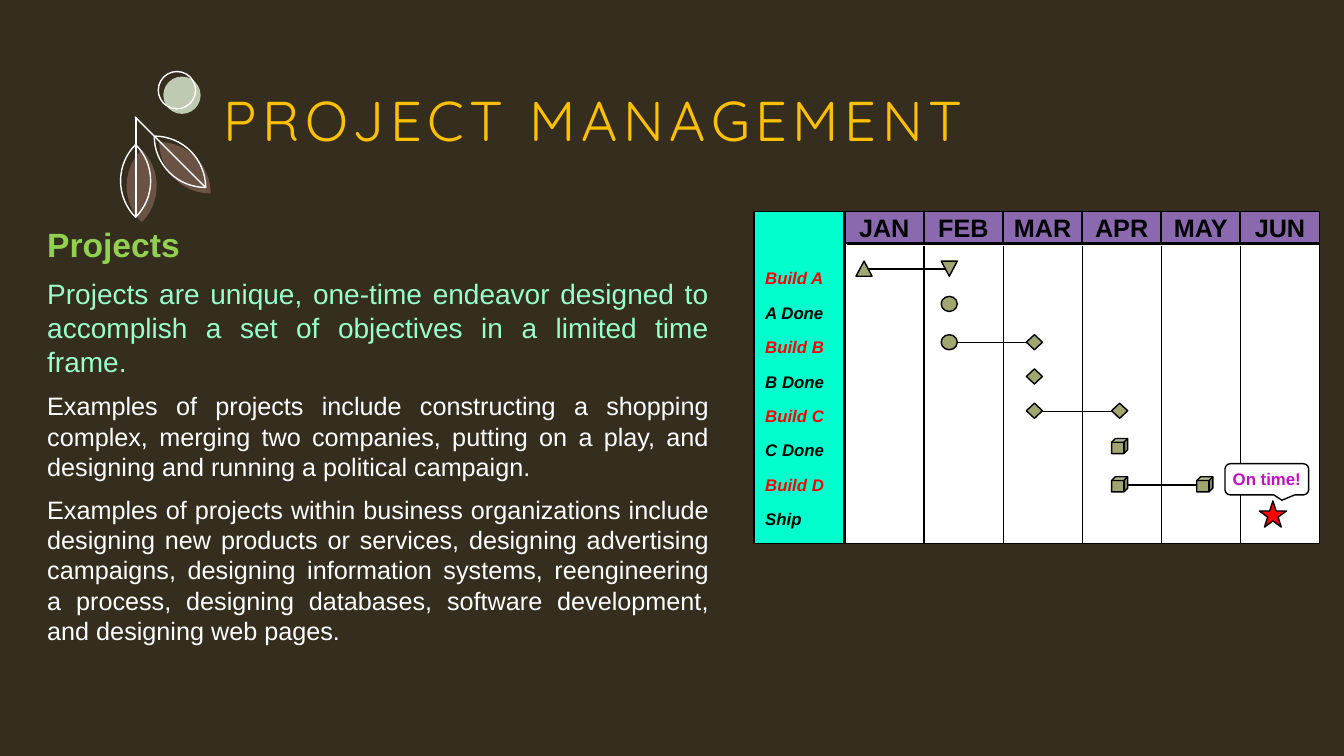
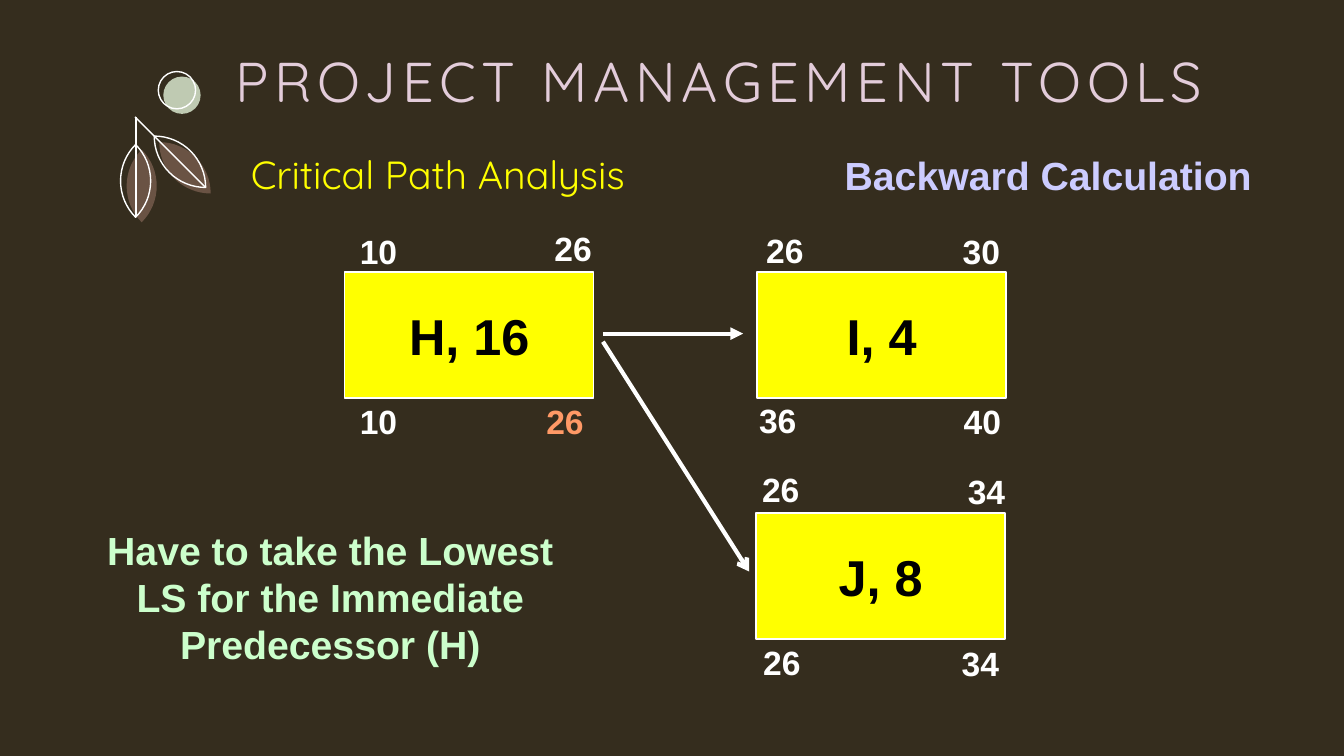
from dataclasses import dataclass
from math import cos, pi, sin

from lxml.etree import SubElement
from pptx import Presentation
from pptx.dml.color import RGBColor
from pptx.enum.shapes import MSO_CONNECTOR, MSO_SHAPE
from pptx.enum.text import MSO_ANCHOR, PP_ALIGN
from pptx.oxml.ns import qn
from pptx.util import Inches, Pt


@dataclass(frozen=True)
class Theme:
    body: str = "Arial"
    display: str = "Quicksand"
    background: str = "352D1E"
    white: str = "FFFFFF"
    black: str = "000000"
    red: str = "FF0000"
    yellow: str = "FFFF00"
    amber: str = "FFC000"
    pink: str = "E3CCDA"
    green: str = "92D050"
    mint: str = "99FFCC"
    pale_green: str = "CCFFCC"
    lavender: str = "CCCCFF"
    orange: str = "FF9966"
    magenta: str = "C40CC8"
    turquoise: str = "00FFCC"
    purple: str = "8A69AE"
    olive: str = "A1A570"
    leaf: str = "BA8C7F"
    berry: str = "BFCAB2"
    title_size: int = 40
    node_size: int = 36
    callout_size: int = 28
    heading_size: int = 24
    lead_size: int = 20
    text_size: int = 18
    label_size: int = 12


THEME = Theme()

PROJECTS = [
    ("Projects", THEME.heading_size, THEME.green, True),
    ("Projects are unique, one-time endeavor designed to accomplish a set of "
     "objectives in a limited time frame.", THEME.lead_size, THEME.mint, False),
    ("Examples of projects include constructing a shopping complex, merging two "
     "companies, putting on a play, and designing and running a political campaign.",
     THEME.text_size, THEME.white, False),
    ("Examples of projects within business organizations include designing new "
     "products or services, designing advertising campaigns, designing information "
     "systems, reengineering a process, designing databases, software development, "
     "and designing web pages.", THEME.text_size, THEME.white, False),
]
MONTHS = ["JAN", "FEB", "MAR", "APR", "MAY", "JUN"]
TASKS = ["Build A", "A Done", "Build B", "B Done", "Build C", "C Done", "Build D", "Ship"]
UP, DOWN = (MSO_SHAPE.ISOSCELES_TRIANGLE, 0), (MSO_SHAPE.ISOSCELES_TRIANGLE, 180)
DOT, DIAMOND, CUBE = (MSO_SHAPE.OVAL, 0), (MSO_SHAPE.DIAMOND, 0), (MSO_SHAPE.CUBE, 0)
MILESTONES = [
    (2.59, 0, [UP, DOWN]),
    (2.94, 1, [DOT]),
    (3.32, 1, [DOT, DIAMOND]),
    (3.66, 2, [DIAMOND]),
    (4.00, 2, [DIAMOND, DIAMOND]),
    (4.35, 3, [CUBE]),
    (4.73, 3, [CUBE, CUBE]),
]
ACTIVITIES = [
    ("H, 16", 3.42, 2.70),
    ("I, 4", 7.51, 2.70),
    ("J, 8", 7.50, 5.09),
]
TIMES = [
    ("10", 3.47, 2.24, THEME.white), ("26", 5.40, 2.21, THEME.white),
    ("10", 3.47, 3.93, THEME.white), ("26", 5.32, 3.93, THEME.orange),
    ("26", 7.50, 2.23, THEME.white), ("30", 9.45, 2.24, THEME.white),
    ("36", 7.43, 3.92, THEME.white), ("40", 9.46, 3.93, THEME.white),
    ("26", 7.46, 4.60, THEME.white), ("34", 9.50, 4.62, THEME.white),
    ("26", 7.47, 6.32, THEME.white), ("34", 9.44, 6.33, THEME.white),
]
DEPENDENCIES = [
    ((5.98, 3.31), (7.37, 3.31), "triangle"),
    ((5.98, 3.39), (7.43, 5.67), "arrow"),
]


def box(*lengths):
    return [Inches(length) for length in lengths]


def paint(shape, fill=None, line=None):
    shape.shadow.inherit = False
    for part, color in ((shape.fill, fill), (shape.line.fill, line)):
        if color:
            part.solid()
            part.fore_color.rgb = RGBColor.from_string(color)
        else:
            part.background()
    if line:
        shape.line.width = Pt(1)
    return shape


def preset(slide, kind, at, fill=None, line=None):
    return paint(slide.shapes.add_shape(kind, *box(*at)), fill, line)


def connect(slide, start, end, color, width=1, arrow=None):
    link = slide.shapes.add_connector(MSO_CONNECTOR.STRAIGHT, *box(*start, *end))
    link.line.color.rgb = RGBColor.from_string(color)
    link.line.width = Pt(width)
    if arrow:
        SubElement(link.line._get_or_add_ln(), qn("a:tailEnd"), type=arrow)
    SubElement(link._element.spPr, qn("a:effectLst"))


def style(paragraph, size, color, bold=False, italic=False, font=THEME.body):
    for run in paragraph.runs:
        run.font.size = Pt(size)
        run.font.name = font
        run.font.bold = bold
        run.font.italic = italic
        run.font.color.rgb = RGBColor.from_string(color)


def write(frame, text, size, color, align=PP_ALIGN.LEFT, wrap=True,
          anchor=MSO_ANCHOR.TOP, **look):
    frame.text = text
    frame.word_wrap = wrap
    frame.vertical_anchor = anchor
    for paragraph in frame.paragraphs:
        paragraph.alignment = align
        style(paragraph, size, color, **look)


def text_box(slide, at, *args, **look):
    frame = slide.shapes.add_textbox(*box(*at)).text_frame
    write(frame, *args, **look)
    return frame


def set_insets(frame, across, down):
    frame.margin_left = frame.margin_right = Inches(across)
    frame.margin_top = frame.margin_bottom = Inches(down)


def add_leaf(slide, left, top, rotation, filled):
    side, steps = 0.51, 16
    angles = [step * pi / 2 / steps for step in range(steps + 1)]
    upper = [(side * sin(a), side * (1 - cos(a))) for a in angles]
    lower = [(side - x, side - y) for x, y in upper]
    points = [box(left + x, top + y) for x, y in upper + lower]
    outline = slide.shapes.build_freeform(*points[0])
    outline.add_line_segments(points[1:], close=True)
    leaf = outline.convert_to_shape()
    leaf.rotation = rotation
    if filled:
        paint(leaf, THEME.leaf)
        tint = leaf._element.spPr.find(qn("a:solidFill"))[0]
        SubElement(tint, qn("a:alpha"), val="40000")
    else:
        paint(leaf, line=THEME.white)


def add_sprig(slide):
    add_leaf(slide, 1.58, 1.41, 0, True)
    add_leaf(slide, 1.15, 1.59, 45, True)
    add_leaf(slide, 1.09, 1.54, 45, False)
    add_leaf(slide, 1.53, 1.35, 0, False)
    connect(slide, (1.35, 2.15), (1.35, 1.16), THEME.white)
    connect(slide, (2.04, 1.86), (1.34, 1.16), THEME.white)
    preset(slide, MSO_SHAPE.OVAL, (1.62, 0.76, 0.37, 0.37), fill=THEME.berry)
    preset(slide, MSO_SHAPE.OVAL, (1.57, 0.71, 0.37, 0.37), line=THEME.white)


def start_slide(deck, title, at, color):
    slide = deck.slides.add_slide(deck.slide_layouts[6])
    slide.background.fill.solid()
    slide.background.fill.fore_color.rgb = RGBColor.from_string(THEME.background)
    heading = text_box(slide, at, title, THEME.title_size, color,
                       anchor=MSO_ANCHOR.MIDDLE, font=THEME.display)
    set_insets(heading, 0, 0)
    for run in heading.paragraphs[0].runs:
        run._r.get_or_add_rPr().set("spc", "400")
    add_sprig(slide)
    return slide


def add_schedule(slide):
    left, top, width, height = 8.38, 2.10, 4.71, 3.29
    bottom, pitch = top + height, width / len(MONTHS)

    tasks = preset(slide, MSO_SHAPE.RECTANGLE, (7.48, top, 0.89, height),
                   THEME.turquoise, THEME.black).text_frame
    write(tasks, "\n".join(TASKS), THEME.label_size, THEME.black, bold=True, italic=True)
    set_insets(tasks, 0.11, 0.56)
    for task in tasks.paragraphs:
        if task.text.startswith("Build"):
            style(task, THEME.label_size, THEME.red, bold=True, italic=True)
    for task in tasks.paragraphs[1:]:
        task.space_before = Pt(10.2)

    preset(slide, MSO_SHAPE.RECTANGLE, (left, top, width, height), THEME.white, THEME.black)
    for index, name in enumerate(MONTHS):
        x = left + index * pitch
        month = preset(slide, MSO_SHAPE.RECTANGLE, (x, top, 0.78, 0.31),
                       THEME.purple, THEME.black)
        write(month.text_frame, name, THEME.text_size, THEME.black, PP_ALIGN.CENTER,
              wrap=False, anchor=MSO_ANCHOR.MIDDLE, bold=True)
        if index:
            connect(slide, (x, 2.44), (x, bottom), THEME.black)
    connect(slide, (left + 0.02, 2.42), (left + width - 0.01, 2.42), THEME.black, 2)

    for y, first, marks in MILESTONES:
        xs = [8.49 + 0.845 * (first + offset) for offset in range(len(marks))]
        if len(marks) > 1:
            connect(slide, (xs[0] + 0.12, y + 0.08), (xs[1] + 0.04, y + 0.08), THEME.black)
        for x, (kind, rotation) in zip(xs, marks):
            mark = preset(slide, kind, (x, y, 0.16, 0.15), THEME.olive, THEME.black)
            mark.rotation = rotation

    preset(slide, MSO_SHAPE.STAR_5_POINT, (12.49, 4.97, 0.27, 0.26), THEME.red, THEME.black)
    callout = preset(slide, MSO_SHAPE.ROUNDED_RECTANGULAR_CALLOUT,
                     (12.15, 4.60, 0.83, 0.31), THEME.white, THEME.black)
    for index, value in enumerate((0.18, 0.67, 0.17)):
        callout.adjustments[index] = value
    write(callout.text_frame, "On time!", THEME.label_size, THEME.magenta,
          PP_ALIGN.CENTER, wrap=False, anchor=MSO_ANCHOR.MIDDLE, bold=True)
    set_insets(callout.text_frame, 0.08, 0.04)


def build_projects(deck):
    slide = start_slide(deck, "PROJECT MANAGEMENT", (2.22, 0.76, 9.37, 0.85), THEME.amber)
    add_schedule(slide)
    frame = text_box(slide, (0.37, 2.17, 6.76, 4.01),
                     "\n".join(text for text, *_ in PROJECTS),
                     THEME.text_size, THEME.white, PP_ALIGN.JUSTIFY)
    for paragraph, (_, size, color, bold) in zip(frame.paragraphs, PROJECTS):
        style(paragraph, size, color, bold)
    frame.paragraphs[0].alignment = PP_ALIGN.LEFT
    for paragraph in frame.paragraphs[1:]:
        paragraph.space_before = Pt(9.2)


def build_critical_path(deck):
    slide = start_slide(deck, "PROJECT MANAGEMENT TOOLS", (2.34, 0.10, 10.40, 1.39), THEME.pink)
    text_box(slide, (2.39, 1.44, 5.50, 0.57), "Critical Path Analysis",
             THEME.callout_size, THEME.yellow, font=THEME.display)
    text_box(slide, (8.04, 1.45, 4.71, 0.57), "Backward Calculation",
             THEME.callout_size, THEME.lavender, PP_ALIGN.CENTER, bold=True)
    for name, left, top in ACTIVITIES:
        activity = preset(slide, MSO_SHAPE.RECTANGLE, (left, top, 2.47, 1.25),
                          THEME.yellow, THEME.white)
        write(activity.text_frame, name, THEME.node_size, THEME.black, PP_ALIGN.CENTER,
              wrap=False, anchor=MSO_ANCHOR.MIDDLE, bold=True)
    for value, left, top, color in TIMES:
        text_box(slide, (left, top, 0.58, 0.50), value, THEME.heading_size, color,
                 wrap=False, bold=True)
    for start, end, arrow in DEPENDENCIES:
        connect(slide, start, end, THEME.white, 3, arrow)
    text_box(slide, (0.92, 5.17, 4.71, 1.51),
             "Have to take the Lowest LS for the Immediate Predecessor (H)",
             THEME.callout_size, THEME.pale_green, PP_ALIGN.CENTER, bold=True)


def main():
    deck = Presentation()
    deck.slide_width, deck.slide_height = box(13.33, 7.5)
    build_projects(deck)
    build_critical_path(deck)
    deck.save("out.pptx")


if __name__ == "__main__":
    main()
